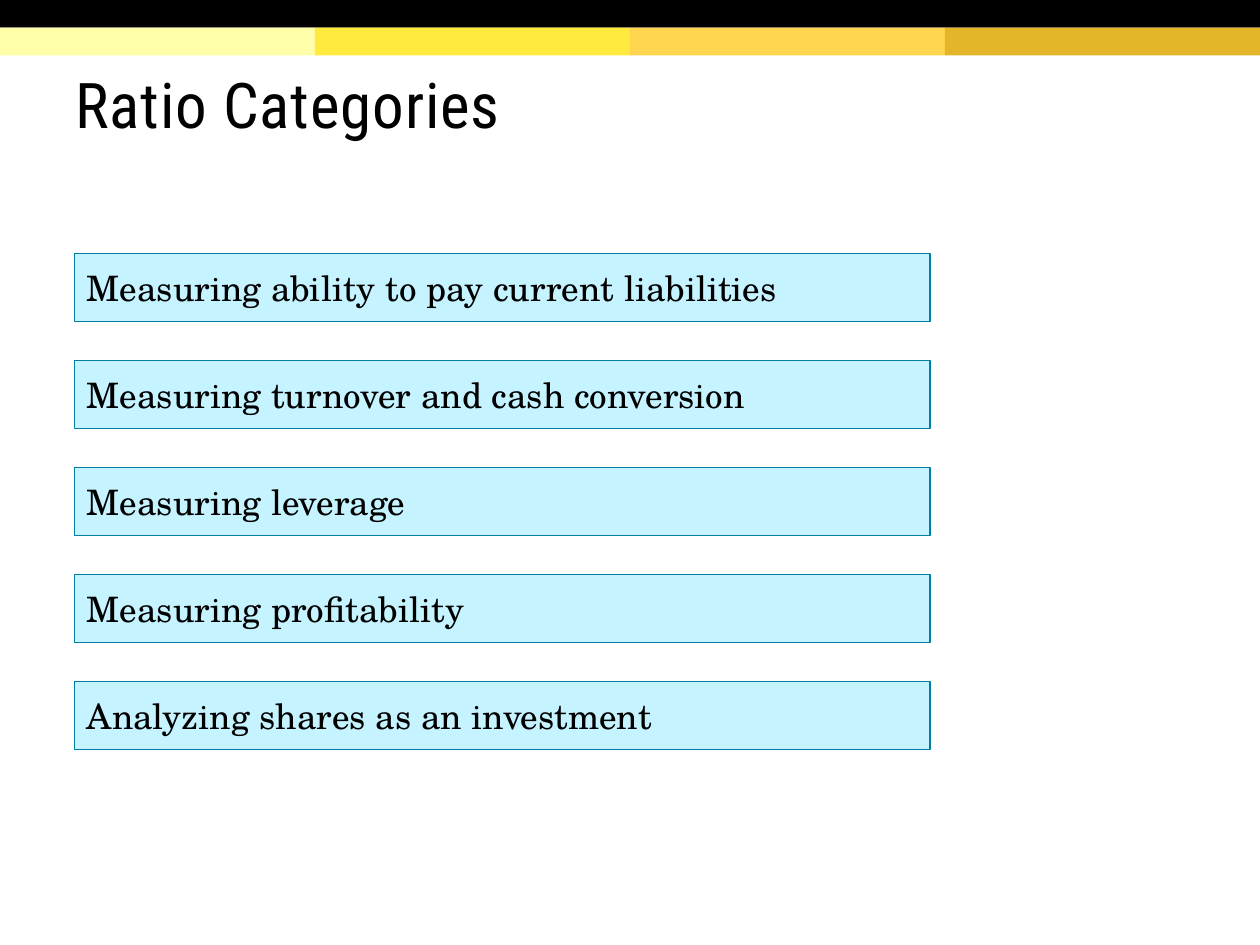
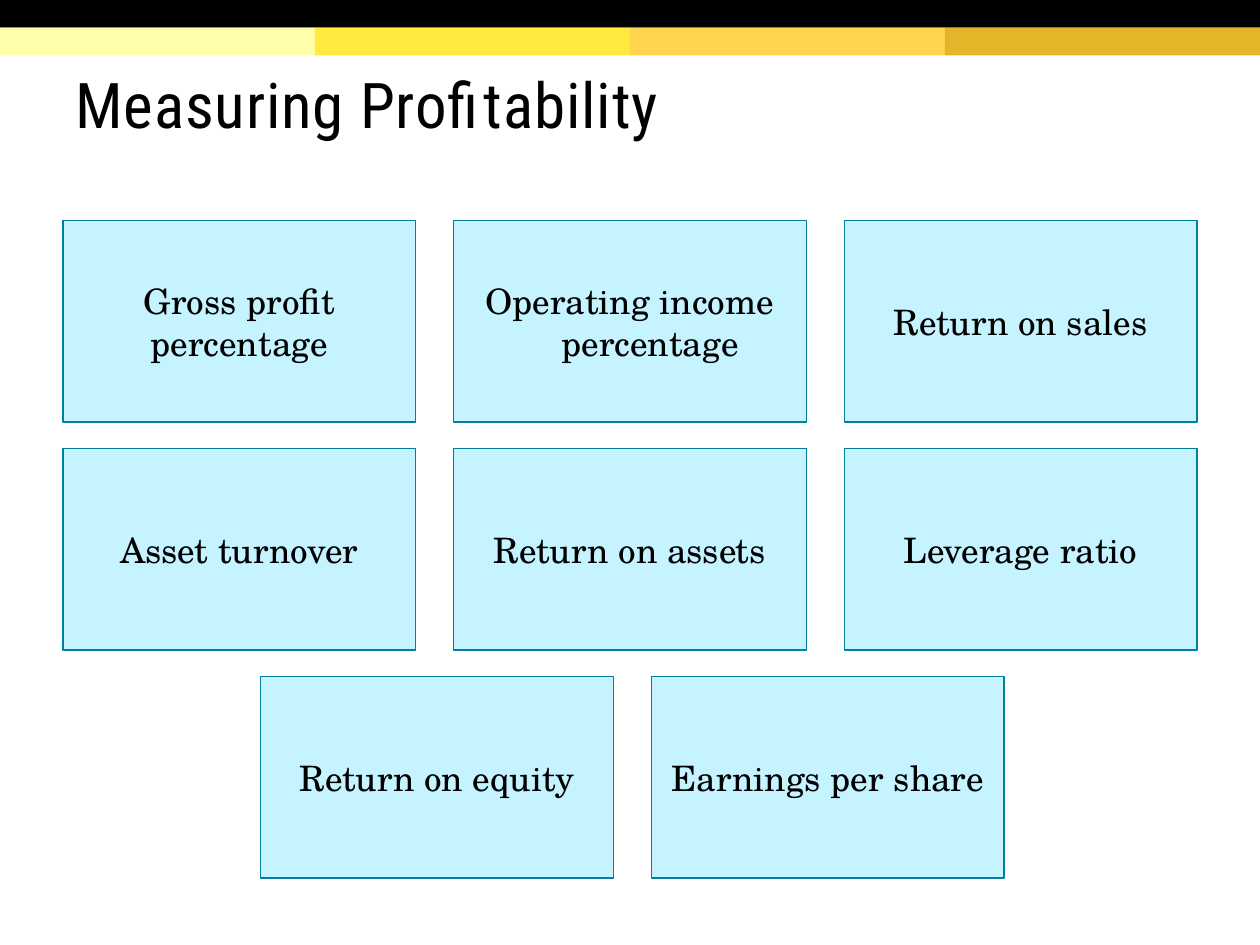
from pptx import Presentation
from pptx.dml.color import RGBColor
from pptx.enum.shapes import MSO_SHAPE
from pptx.enum.text import MSO_ANCHOR, MSO_AUTO_SIZE, PP_ALIGN
from pptx.util import Inches, Pt

RECT = MSO_SHAPE.RECTANGLE
MIDDLE = MSO_ANCHOR.MIDDLE
LEFT, CENTER = PP_ALIGN.LEFT, PP_ALIGN.CENTER
FIXED = MSO_AUTO_SIZE.NONE

BLACK = RGBColor(0x00, 0x00, 0x00)
CYAN = RGBColor(0xC5, 0xF3, 0xFF)
TEAL = RGBColor(0x00, 0x7F, 0xA3)
BANDS = (
    RGBColor(0xFF, 0xFF, 0xAA),
    RGBColor(0xFF, 0xEA, 0x3D),
    RGBColor(0xFF, 0xD5, 0x4F),
    RGBColor(0xE4, 0xB4, 0x29),
)

HEAD_FONT, BODY_FONT = "Roboto Condensed", "TeX Gyre Schola"
WIDTH, HEIGHT = 10, 7.5
BAND = 0.22
INSET = 0.1
HANG = 0.32

TOPICS = (
    "Measuring ability to pay current liabilities",
    "Measuring turnover and cash conversion",
    "Measuring leverage",
    "Measuring profitability",
    "Analyzing shares as an investment",
)
FLUSH = "Gross profit percentage"
RATIOS = (
    (0.5, (FLUSH, "Operating income percentage", "Return on sales")),
    (0.5, ("Asset turnover", "Return on assets", "Leverage ratio")),
    (2.07, ("Return on equity", "Earnings per share")),
)


def add_rect(slide, left, top, width, height, fill):
    """Add a plain filled rectangle, measured in inches."""
    box = [Inches(n) for n in (left, top, width, height)]
    rect = slide.shapes.add_shape(RECT, *box)
    rect.shadow.inherit = False
    rect.fill.solid()
    rect.fill.fore_color.rgb = fill
    rect.line.fill.background()
    return rect


def set_text(shape, text, font, size, align, bottom=INSET):
    """Fill a shape with one styled paragraph and return it."""
    frame = shape.text_frame
    frame.text = text
    frame.word_wrap = True
    frame.auto_size = FIXED
    frame.vertical_anchor = MIDDLE
    frame.margin_left = frame.margin_right = frame.margin_top = Inches(INSET)
    frame.margin_bottom = Inches(bottom)
    para = frame.paragraphs[0]
    para.alignment = align
    style = para.runs[0].font
    style.name, style.size = font, Pt(size)
    style.color.rgb = BLACK
    return para


def add_card(slide, text, left, top, width, height, align):
    """Add an outlined card with a hanging first line."""
    card = add_rect(slide, left, top, width, height, CYAN)
    card.line.color.rgb = TEAL
    card.line.width = Pt(0.75)
    para = set_text(card, text, BODY_FONT, 20, align)
    para.space_before = para.space_after = Pt(8)
    if text != FLUSH:
        props = para._p.get_or_add_pPr()
        props.set("marL", str(Inches(HANG)))
        props.set("indent", str(-Inches(HANG)))


def add_slide(deck, text):
    """Add a slide with the shared bands and title."""
    slide = deck.slides.add_slide(deck.slide_layouts[5])
    add_rect(slide, 0, 0, WIDTH, BAND, BLACK)
    step = WIDTH / len(BANDS)
    for col, color in enumerate(BANDS):
        add_rect(slide, col * step, BAND, step, BAND, color)
    title = slide.shapes.title
    title.left, title.top = Inches(0.5), Inches(0.24)
    title.width, title.height = Inches(WIDTH - 1), Inches(1.2)
    para = set_text(title, text, HEAD_FONT, 36, LEFT, INSET / 2)
    para.line_spacing = 0.85
    para.runs[0]._r.get_or_add_rPr().set("spc", "50")
    return slide


def add_list(slide):
    """Stack the ratio categories at an equal pitch."""
    for row, text in enumerate(TOPICS):
        add_card(slide, text, 0.59, 2.01 + row * 0.85, 6.79, 0.54, LEFT)


def add_grid(slide):
    """Lay out the profitability ratios in rows of cards."""
    for row, (left, names) in enumerate(RATIOS):
        for col, text in enumerate(names):
            add_card(slide, text, left + col * 3.1, 1.75 + row * 1.81,
                     2.8, 1.6, CENTER)


def main():
    """Build and save both slides."""
    deck = Presentation()
    deck.slide_width, deck.slide_height = Inches(WIDTH), Inches(HEIGHT)
    add_list(add_slide(deck, "Ratio Categories"))
    add_grid(add_slide(deck, "Measuring Profitability"))
    deck.save("out.pptx")


if __name__ == "__main__":
    main()
